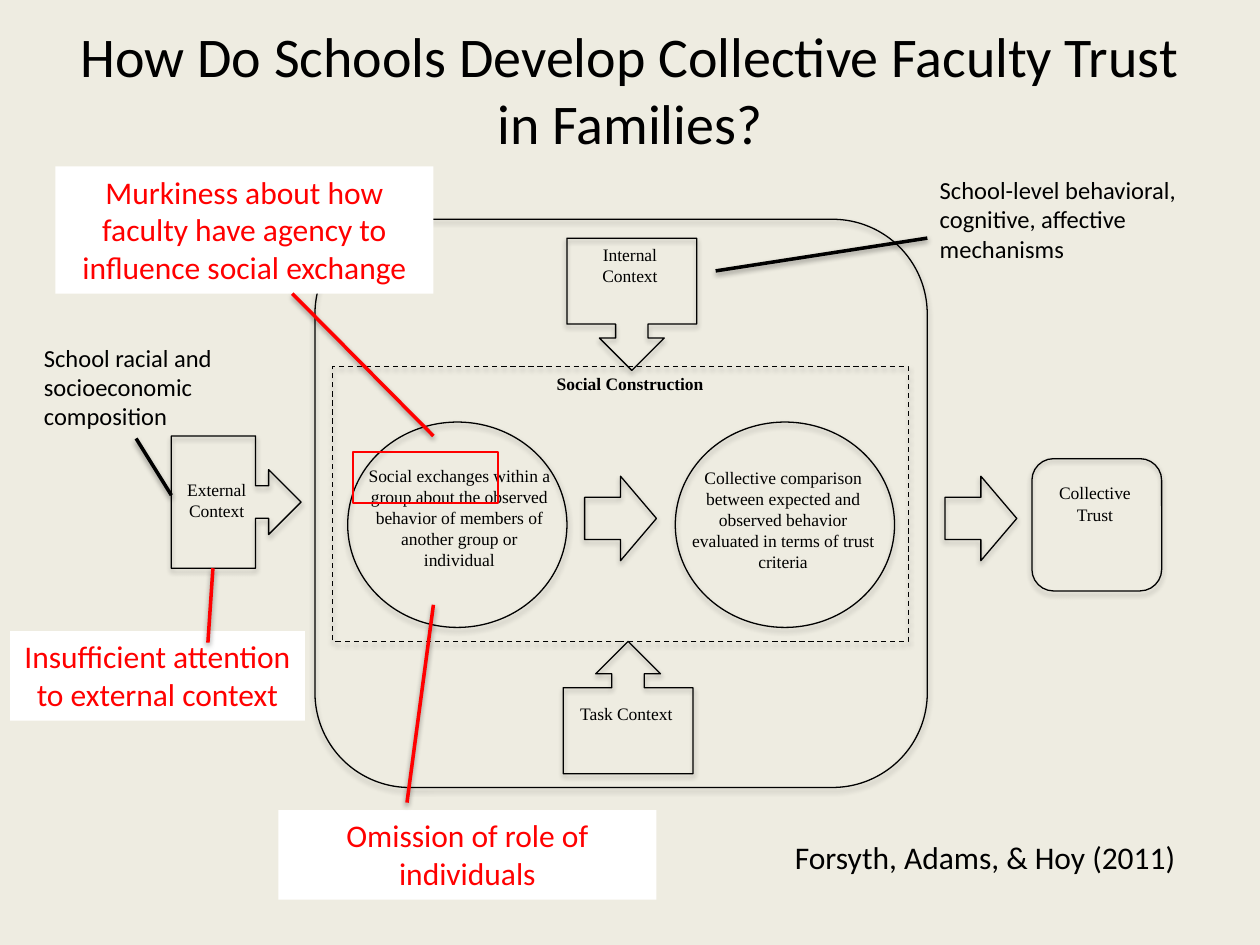
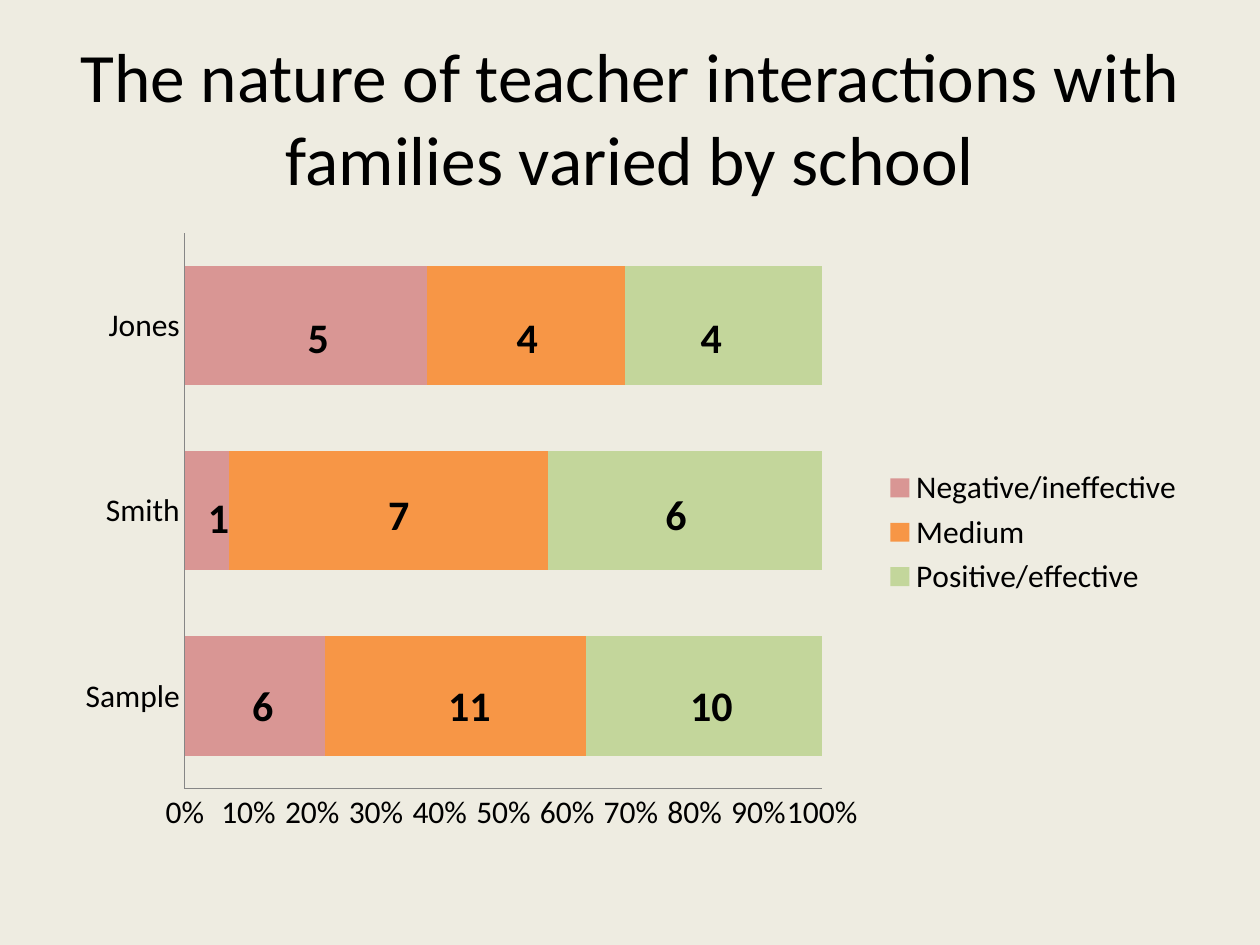
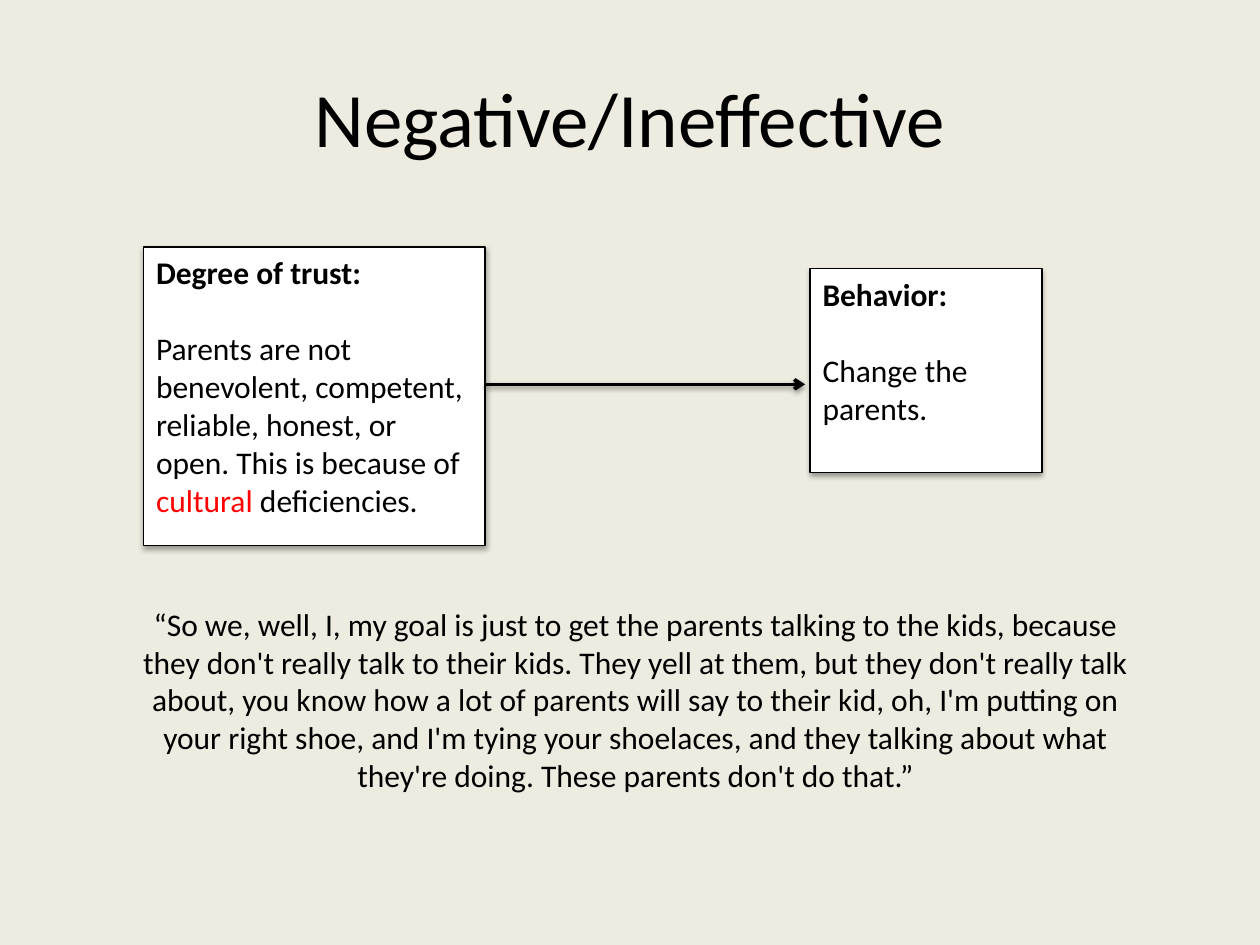
from lxml.etree import SubElement
from pptx import Presentation
from pptx.chart.data import CategoryChartData as Data
from pptx.dml.color import RGBColor
from pptx.enum.chart import XL_CHART_TYPE as Kind, XL_LEGEND_POSITION as Side, XL_TICK_MARK as Tick
from pptx.enum.dml import MSO_LINE as Dash
from pptx.enum.shapes import MSO_CONNECTOR as Link, MSO_SHAPE as Form
from pptx.enum.text import MSO_ANCHOR as Anchor, PP_ALIGN as Align
from pptx.oxml.ns import qn
from pptx.util import Inches, Pt

CREAM = RGBColor(0xEE, 0xEC, 0xE1)
BLACK = RGBColor(0, 0, 0)
WHITE = RGBColor(0xFF, 0xFF, 0xFF)
RED = RGBColor(0xFF, 0, 0)
GREY = RGBColor(0x86, 0x86, 0x86)
ROSE = RGBColor(0xD9, 0x96, 0x94)
ORANGE = RGBColor(0xF7, 0x96, 0x46)
GREEN = RGBColor(0xC3, 0xD6, 0x9B)
SANS = "Calibri"
SERIF = "Times New Roman"


def write(frame, text, size=18, font=SANS, color=BLACK, bold=False,
          align=Align.LEFT, gap=0, more=False):
    para = frame.paragraphs[-1]
    if not more:
        if frame.text:
            para = frame.add_paragraph()
        para.alignment = align
        para.space_before = Pt(gap)
    run = para.add_run()
    run.text = text
    run.font.size = Pt(size)
    run.font.name = font
    run.font.color.rgb = color
    run.font.bold = bold


def shade(shape, alpha, blur, drop):
    props = shape.element.spPr
    for old in props.findall(qn("a:effectLst")):
        props.remove(old)
    glow = SubElement(SubElement(props, qn("a:effectLst")), qn("a:outerShdw"),
                      blurRad=str(Pt(blur)), dist=str(Pt(drop)),
                      dir="5400000", rotWithShape="0")
    tint = SubElement(glow, qn("a:srgbClr"), val=str(BLACK))
    SubElement(tint, qn("a:alpha"), val=str(alpha * 1000))


class Deck:
    def __init__(self):
        self.show = Presentation()
        self.show.slide_width = Inches(10)
        self.show.slide_height = Inches(7.5)

    def page(self, title, size, top=0.3):
        self.slide = self.show.slides.add_slide(self.show.slide_layouts[6])
        fill = self.slide.background.fill
        fill.solid()
        fill.fore_color.rgb = CREAM
        self.text(title, (0.5, top, 9, 1.25), Anchor.MIDDLE,
                  size=size, align=Align.CENTER)

    def text(self, text, box, anchor=Anchor.TOP, **style):
        frame = self.slide.shapes.add_textbox(*map(Inches, box)).text_frame
        frame.word_wrap = True
        frame.vertical_anchor = anchor
        write(frame, text, **style)

    def shape(self, form, box, fill=None, line=BLACK, width=0.75, dash=None, shadow=True):
        shape = self.slide.shapes.add_shape(form, *map(Inches, box))
        shape.shadow.inherit = False
        if fill is None:
            shape.fill.background()
        else:
            shape.fill.solid()
            shape.fill.fore_color.rgb = fill
        if line is None:
            shape.line.fill.background()
        else:
            shape.line.color.rgb = line
            shape.line.width = Pt(width)
            if dash:
                shape.line.dash_style = dash
        if shadow:
            shade(shape, 35, 3.1, 1.8)
        frame = shape.text_frame
        frame.word_wrap = True
        frame.vertical_anchor = Anchor.TOP
        return frame

    def label(self, text, box):
        self.text(text, box, size=10, font=SERIF, align=Align.CENTER)

    def claim(self, text, box):
        frame = self.shape(Form.RECTANGLE, box, WHITE, None, shadow=False)
        write(frame, text, color=RED, align=Align.CENTER)

    def card(self, head, body, box):
        frame = self.shape(Form.RECTANGLE, box, WHITE)
        write(frame, head, bold=True)
        write(frame, body, gap=22)
        return frame

    def line(self, start, end, color=BLACK, arrow=False):
        link = self.slide.shapes.add_connector(
            Link.STRAIGHT, *map(Inches, start + end))
        link.line.color.rgb = color
        link.line.width = Pt(2)
        if arrow:
            SubElement(link.line._get_or_add_ln(), qn("a:tailEnd"), type="arrow")
        shade(link, 38, 3.1, 1.6)

    def chart(self, cats, series, box):
        data = Data()
        data.categories = cats
        for name, vals, _ in series:
            data.add_series(name, vals)
        chart = self.slide.shapes.add_chart(
            Kind.BAR_STACKED_100, *map(Inches, box), data).chart
        chart.font.name = SANS
        chart.font.size = Pt(18)
        chart.font.color.rgb = BLACK
        chart.has_title = False
        chart.has_legend = True
        chart.legend.position = Side.RIGHT
        chart.legend.include_in_layout = False
        plot = chart.plots[0]
        plot.gap_width = 55
        plot.overlap = 100
        plot.vary_by_categories = False
        for bar, (_, _, color) in zip(plot.series, series):
            bar.format.fill.solid()
            bar.format.fill.fore_color.rgb = color
        for axis in (chart.category_axis, chart.value_axis):
            axis.has_major_gridlines = False
            axis.major_tick_mark = axis.minor_tick_mark = Tick.NONE
            axis.format.line.color.rgb = GREY
            axis.format.line.width = Pt(0.75)
        chart.value_axis.major_unit = 0.1
        ticks = chart.value_axis.tick_labels
        ticks.number_format = "0%"
        ticks.number_format_is_linked = False


def model(deck):
    deck.page("How Do Schools Develop Collective Faculty Trust in Families?", 32, 0.08)
    deck.shape(Form.ROUNDED_RECTANGLE, (2.5, 1.74, 4.86, 4.51))
    nodes = [
        (Form.DOWN_ARROW_CALLOUT, 4.5, 1.89, "Internal Context", 4.5, 1.89),
        (Form.RIGHT_ARROW_CALLOUT, 1.36, 3.46, "External Context", 1.22, 3.75),
        (Form.UP_ARROW_CALLOUT, 4.47, 5.09, "Task Context", 4.47, 5.53),
        (Form.ROUNDED_RECTANGLE, 8.19, 3.64, "Collective Trust", 8.19, 3.78),
    ]
    for form, left, top, text, x, y in nodes:
        deck.shape(form, (left, top, 1.03, 1.05))
        deck.label(text, (x, y, 1, 0.58))
    deck.shape(Form.RECTANGLE, (2.64, 2.91, 4.57, 2.18), dash=Dash.DASH)
    steps = [
        (2.76, "Social exchanges within a group about the observed behavior of "
               "members of another group or individual", (2.79, 3.64, 1.71, 1.16)),
        (5.36, "Collective comparison between expected and observed behavior "
               "evaluated in terms of trust criteria", (5.36, 3.66, 1.71, 1.02)),
    ]
    for left, text, box in steps:
        deck.shape(Form.OVAL, (left, 3.35, 1.74, 1.63))
        deck.label(text, box)
    deck.text("Social Construction", (4.07, 2.91, 1.86, 0.44),
              size=10, font=SERIF, bold=True, align=Align.CENTER)
    for left in (4.64, 7.5):
        deck.shape(Form.RIGHT_ARROW, (left, 3.78, 0.57, 0.67))

    deck.claim("Insufficient attention to external context", (0.08, 5.01, 2.34, 0.71))
    deck.claim("Murkiness about how faculty have agency to influence social exchange",
               (0.44, 1.32, 3, 1.01))
    deck.claim("Omission of role of individuals", (2.21, 6.43, 3, 0.71))
    deck.text("School-level behavioral, cognitive, affective mechanisms",
              (7.36, 1.34, 2.35, 0.81), size=14)
    deck.line((5.68, 2.15), (7.36, 1.89))
    deck.line((3.23, 6.37), (3.44, 4.8), RED)
    deck.line((1.65, 5.1), (1.69, 4.51), RED)
    deck.line((3.44, 3.46), (2.32, 2.33), RED)
    deck.shape(Form.RECTANGLE, (2.8, 3.59, 1.15, 0.4), line=RED, width=1.25, shadow=False)
    deck.line((1.08, 3.48), (1.36, 3.93))
    deck.text("School racial and socioeconomic composition",
              (0.25, 2.67, 1.66, 0.81), size=14)
    deck.text("Forsyth, Adams, & Hoy (2011)", (6.21, 6.6, 3.29, 0.4))


def survey(deck):
    deck.page("The nature of teacher interactions with families varied by school", 39.6)
    series = [
        ("Negative/ineffective", (22, 7, 38), ROSE),
        ("Medium", (41, 50, 31), ORANGE),
        ("Positive/effective", (37, 43, 31), GREEN),
    ]
    deck.chart(("Sample", "Smith", "Jones"), series, (0.5, 1.75, 9, 4.95))
    counts = [
        ("6", 1.81, 5.34), ("11", 3.45, 5.34), ("10", 5.37, 5.34),
        ("1", 1.46, 3.85), ("7", 2.89, 3.83), ("6", 5.09, 3.83),
        ("5", 2.25, 2.42), ("4", 3.91, 2.42), ("4", 5.37, 2.42),
    ]
    for count, left, top in counts:
        deck.text(count, (left, top, 0.55, 0.5), size=24, bold=True, align=Align.CENTER)


def quote(deck):
    deck.page("Negative/Ineffective", 44)
    trust = deck.card("Degree of trust:",
                      "Parents are not benevolent, competent, reliable, honest, or open. "
                      "This is because of ", (1.14, 1.96, 2.71, 2.37))
    write(trust, "cultural", color=RED, more=True)
    write(trust, " deficiencies.", more=True)
    deck.card("Behavior:", "Change the parents.", (6.43, 2.13, 1.84, 1.62))
    deck.line((3.85, 3.05), (6.39, 3.05), arrow=True)
    deck.text("“So we, well, I, my goal is just to get the parents talking to the kids, "
              "because they don't really talk to their kids. They yell at them, but they "
              "don't really talk about, you know how a lot of parents will say to their "
              "kid, oh, I'm putting on your right shoe, and I'm tying your shoelaces, and "
              "they talking about what they're doing. These parents don't do that.”",
              (0.94, 4.75, 8.21, 1.92), align=Align.CENTER)


def main():
    deck = Deck()
    for build in (model, survey, quote):
        build(deck)
    deck.show.save("out.pptx")


if __name__ == "__main__":
    main()
